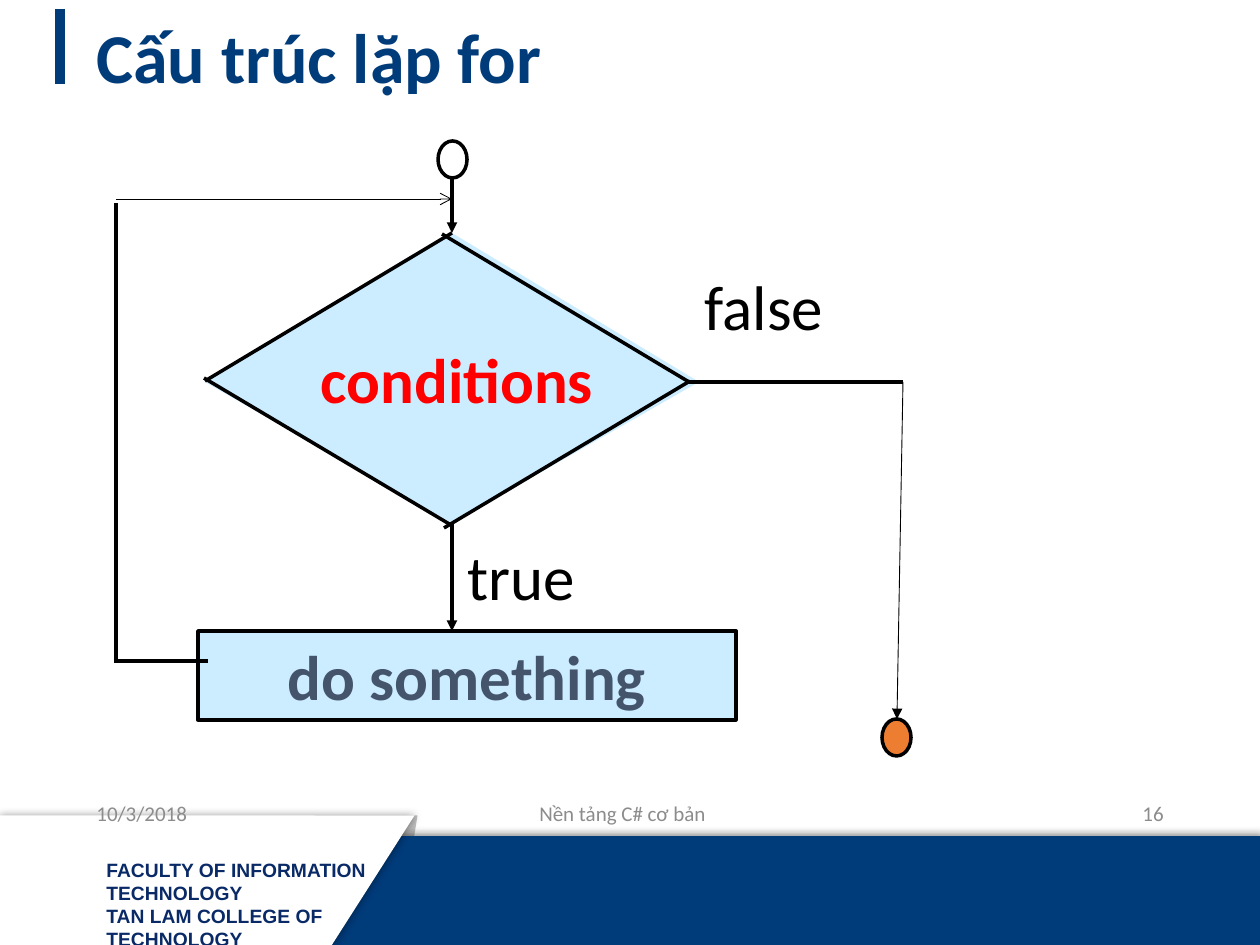
from dataclasses import dataclass

from lxml import etree
from pptx import Presentation
from pptx.dml.color import RGBColor
from pptx.enum.shapes import MSO_CONNECTOR, MSO_SHAPE
from pptx.enum.text import MSO_ANCHOR, PP_ALIGN
from pptx.oxml.ns import qn
from pptx.util import Pt

PX = 914400 / 126
RECT, ELLIPSE = MSO_SHAPE.RECTANGLE, MSO_SHAPE.OVAL
SLANTED = MSO_SHAPE.FLOWCHART_MANUAL_INPUT
STRAIGHT = MSO_CONNECTOR.STRAIGHT
LEFT, CENTER, RIGHT = PP_ALIGN.LEFT, PP_ALIGN.CENTER, PP_ALIGN.RIGHT
TOP, MIDDLE = MSO_ANCHOR.TOP, MSO_ANCHOR.MIDDLE


@dataclass(frozen=True)
class Theme:
    """Colours, fonts and type sizes of the slide."""
    navy: str = "003B7A"
    faculty: str = "092A67"
    white: str = "FFFFFF"
    black: str = "000000"
    fold: str = "BFBFBF"
    muted: str = "8C8C8C"
    pale: str = "CCECFF"
    slate: str = "44546A"
    red: str = "FF0000"
    orange: str = "ED7D31"
    body_font: str = "Calibri"
    faculty_font: str = "Arial"
    title_size: int = 40
    flow_size: int = 36
    footer_size: int = 12
    faculty_size: int = 11
    stroke: float = 2
    hairline: float = 0.5


THEME = Theme()


@dataclass(frozen=True)
class Shadow:
    """Outer shadow: blur and distance in points, direction in degrees."""
    blur: int
    distance: int
    direction: int
    opacity: int = 40


@dataclass(frozen=True)
class Block:
    """A filled preset shape; box is left, top, width, height."""
    box: tuple[int, int, int, int]
    fill: str
    kind: int = RECT
    outline: str | None = None
    weight: float = THEME.stroke
    shadow: Shadow | None = None


@dataclass(frozen=True)
class Label:
    """Text with its box and look."""
    box: tuple[int, int, int, int]
    lines: tuple[str, ...]
    size: int
    color: str
    bold: bool = False
    align: int = LEFT
    anchor: int = MIDDLE
    font: str = THEME.body_font
    wrap: bool = True
    inset: bool = True
    spacing: float = 1.0


@dataclass(frozen=True)
class Edge:
    """A straight line, with an arrowhead at its end if one is named."""
    start: tuple[int, int]
    end: tuple[int, int]
    weight: float = THEME.stroke
    color: str = THEME.black
    head: str | None = None


def emu(*pixels: int) -> list[int]:
    """Turn pixels into EMU."""
    return [round(value * PX) for value in pixels]


def rgb(code: str) -> RGBColor:
    """Read a hexadecimal colour."""
    return RGBColor.from_string(code)


def add_shadow(shape, shadow: Shadow) -> None:
    """Put an outer shadow on a shape whose effect list is empty."""
    effects = shape.element.spPr.find(qn("a:effectLst"))
    outer = etree.SubElement(effects, qn("a:outerShdw"), blurRad=str(Pt(shadow.blur)),
                             dist=str(Pt(shadow.distance)),
                             dir=str(shadow.direction * 60000), rotWithShape="0")
    color = etree.SubElement(outer, qn("a:srgbClr"), val=THEME.black)
    etree.SubElement(color, qn("a:alpha"), val=str(shadow.opacity * 1000))


def add_block(slide, block: Block):
    """Draw a preset shape; slanted ones lie on their side."""
    shape = slide.shapes.add_shape(block.kind, *emu(*block.box))
    shape.shadow.inherit = False
    shape.fill.solid()
    shape.fill.fore_color.rgb = rgb(block.fill)
    if block.outline:
        shape.line.color.rgb = rgb(block.outline)
        shape.line.width = Pt(block.weight)
    else:
        shape.line.fill.background()
    if block.kind == SLANTED:
        shape.rotation = 270
        shape.element.spPr.find(qn("a:xfrm")).set("flipV", "1")
    if block.shadow:
        add_shadow(shape, block.shadow)
    return shape


def write_text(shape, label: Label) -> None:
    """Fill a shape's text frame, one paragraph a line."""
    frame = shape.text_frame
    frame.word_wrap = label.wrap
    frame.vertical_anchor = label.anchor
    if not label.inset:
        frame.margin_left = frame.margin_right = 0
        frame.margin_top = frame.margin_bottom = 0
    for index, line in enumerate(label.lines):
        paragraph = frame.add_paragraph() if index else frame.paragraphs[0]
        paragraph.alignment = label.align
        paragraph.line_spacing = label.spacing
        run = paragraph.add_run()
        run.text = line
        run.font.name = label.font
        run.font.size = Pt(label.size)
        run.font.bold = label.bold
        run.font.color.rgb = rgb(label.color)


def add_label(slide, label: Label) -> None:
    """Add a text box."""
    write_text(slide.shapes.add_textbox(*emu(*label.box)), label)


def add_edge(slide, edge: Edge) -> None:
    """Draw a line or arrow."""
    line = slide.shapes.add_connector(STRAIGHT, *emu(*edge.start, *edge.end))
    line.line.color.rgb = rgb(edge.color)
    line.line.width = Pt(edge.weight)
    properties = line.element.spPr
    if edge.head:
        etree.SubElement(properties.find(qn("a:ln")), qn("a:tailEnd"), type=edge.head)
    etree.SubElement(properties, qn("a:effectLst"))


def add_diamond(slide, corners: list[tuple[int, int]]) -> None:
    """Draw the borderless decision area."""
    builder = slide.shapes.build_freeform(*corners[0], scale=PX)
    builder.add_line_segments(corners[1:], close=True)
    diamond = builder.convert_to_shape()
    diamond.shadow.inherit = False
    diamond.fill.solid()
    diamond.fill.fore_color.rgb = rgb(THEME.pale)
    diamond.line.fill.background()


def flow_label(box: tuple[int, int, int, int], word: str, **look) -> Label:
    """Describe a centred word of the flowchart."""
    settings = {"color": THEME.black, "anchor": TOP, "wrap": False, **look}
    return Label(box, (word,), THEME.flow_size, align=CENTER, **settings)


BANNER = [
    Block((301, 829, 130, 103), THEME.fold, SLANTED),
    Block((-1, 837, 1261, 108), THEME.navy, outline=THEME.navy, weight=1,
          shadow=Shadow(4, 2, 270)),
    Block((142, 673, 130, 415), THEME.white, SLANTED, shadow=Shadow(5, 0, 0)),
]
FACULTY = Label((94, 852, 290, 106),
                ("FACULTY OF INFORMATION TECHNOLOGY", "TAN LAM COLLEGE OF TECHNOLOGY"),
                THEME.faculty_size, THEME.faculty, True, anchor=TOP, font=THEME.faculty_font)
TITLE_BAR = Edge((60, 9), (60, 84), 6, THEME.navy)
TITLE = Label((84, 5, 1086, 111), ("Cấu trúc lặp for",), THEME.title_size, THEME.navy,
              True, spacing=0.9)
FOOTER = [Label((left, 788, width, 50), (text,), THEME.footer_size, THEME.muted, align=align)
          for left, width, text, align in ((84, 284, "10/3/2018", LEFT),
                                           (410, 425, "Nền tảng C# cơ bản", CENTER),
                                           (892, 284, "16", RIGHT))]
BRANCHES = [flow_label((467, 538, 108, 77), "true", inset=False),
            flow_label((704, 268, 120, 77), "false", inset=False)]
ACTION = Block((198, 631, 538, 89), THEME.pale, outline=THEME.black)
ACTION_TEXT = flow_label(ACTION.box, "do something", color=THEME.slate, bold=True, wrap=True)
ENDPOINTS = [Block((438, 141, 29, 37), THEME.white, ELLIPSE, THEME.black),
             Block((882, 719, 29, 37), THEME.orange, ELLIPSE, THEME.black)]
DECISION = [(452, 233), (205, 382), (452, 523), (699, 382)]
CONDITION = flow_label((306, 334, 302, 89), "conditions", color=THEME.red, bold=True)
EDGES = [
    Edge((452, 178), (452, 233), head="triangle"),
    Edge((452, 522), (452, 631), head="triangle"),
    Edge((444, 528), (690, 381)),
    Edge((689, 382), (442, 234)),
    Edge((205, 381), (452, 233)),
    Edge((204, 378), (451, 525)),
    Edge((687, 382), (903, 382)),
    Edge((116, 663), (116, 203)),
    Edge((116, 661), (208, 661)),
    Edge((116, 199), (452, 199), THEME.hairline, head="arrow"),
    Edge((903, 382), (897, 719), THEME.hairline, head="triangle"),
]


def main() -> None:
    """Build and save the slide."""
    deck = Presentation()
    deck.slide_width, deck.slide_height = emu(1260, 945)
    slide = deck.slides.add_slide(deck.slide_layouts[6])
    for block in BANNER:
        add_block(slide, block)
    add_edge(slide, TITLE_BAR)
    for label in (FACULTY, *FOOTER, TITLE, *BRANCHES):
        add_label(slide, label)
    write_text(add_block(slide, ACTION), ACTION_TEXT)
    for block in ENDPOINTS:
        add_block(slide, block)
    add_diamond(slide, DECISION)
    for edge in EDGES:
        add_edge(slide, edge)
    add_label(slide, CONDITION)
    deck.save("out.pptx")


main()
